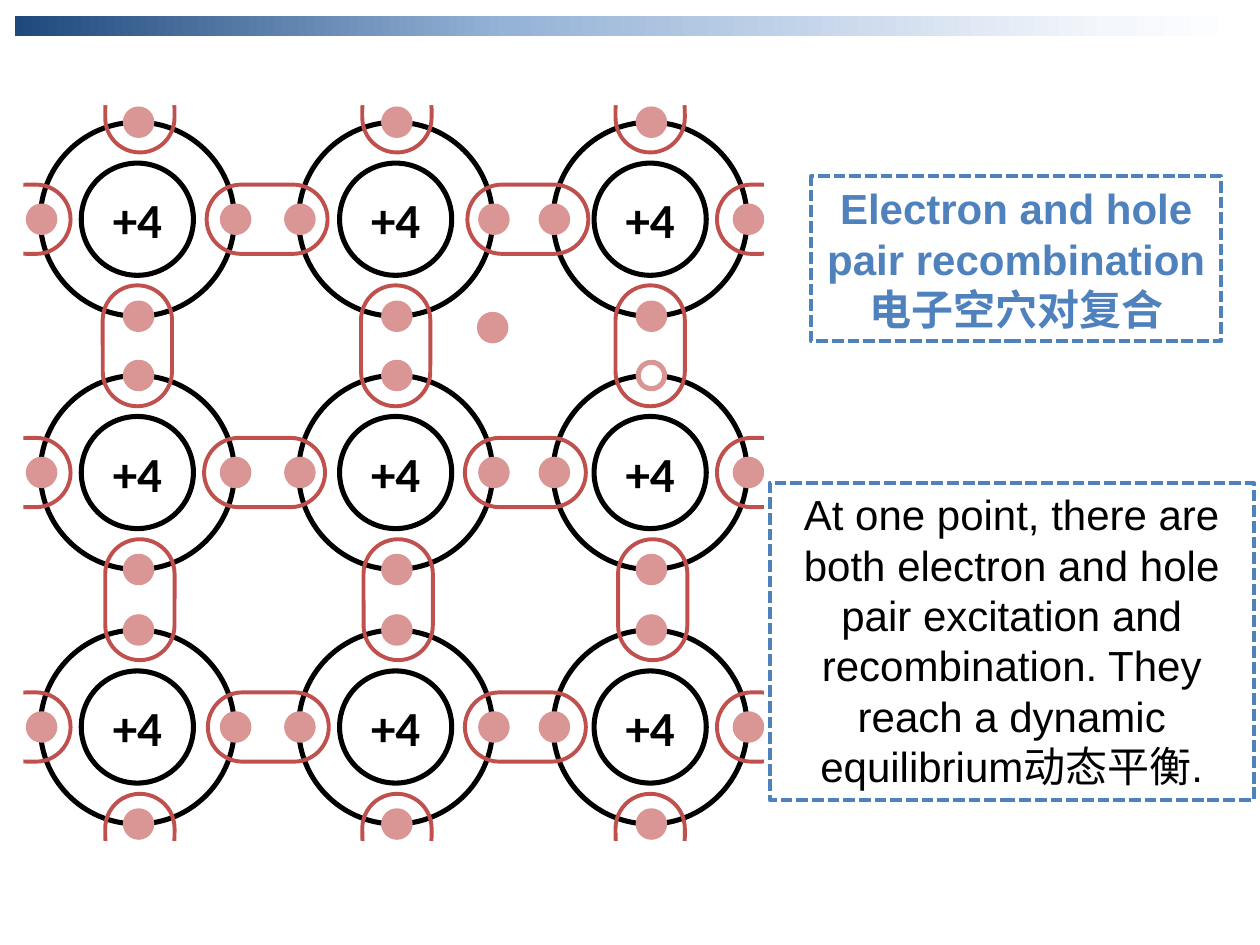
from dataclasses import dataclass

from lxml import etree
from pptx import Presentation
from pptx.dml.color import RGBColor
from pptx.enum.dml import MSO_LINE
from pptx.enum.shapes import MSO_SHAPE
from pptx.enum.text import MSO_ANCHOR, MSO_AUTO_SIZE, PP_ALIGN
from pptx.oxml.ns import qn
from pptx.util import Inches, Pt

OVAL, CAPSULE, RECTANGLE = MSO_SHAPE.OVAL, MSO_SHAPE.ROUNDED_RECTANGLE, MSO_SHAPE.RECTANGLE
CENTER, MIDDLE = PP_ALIGN.CENTER, MSO_ANCHOR.MIDDLE
SHORT_DASH = MSO_LINE.SQUARE_DOT

BLACK = RGBColor(0x00, 0x00, 0x00)
WHITE = RGBColor(0xFF, 0xFF, 0xFF)
PINK = RGBColor(0xD9, 0x96, 0x94)
RED = RGBColor(0xC0, 0x50, 0x4D)
BLUE = RGBColor(0x4F, 0x81, 0xBD)
BAR_STOPS = [(0, "1F497D"), (40, "95B3D7"), (89, "F4F7FC"), (100, "FFFFFF")]

# Lattice geometry, in inches
COLUMNS = [1.09, 3.14, 5.16]
EDGE_COLUMNS = [1.11, 3.15, 5.16]
ROWS = [1.74, 3.75, 5.77]
RING, CORE, ELECTRON = 1.54, 0.89, 0.21
ORBIT = RING / 2
BOND_LENGTH, BOND_WIDTH = 0.96, 0.55
BOND_CENTERS = [(2.12, 4.19), (2.1, 4.17), (2.13, 4.17)]
EDGE_LENGTH, EDGE_REACH = 0.62, 0.84
COVER_LENGTH, COVER_WIDTH, COVER_REACH = 0.55, 0.64, 1.18
HOLE_SITE = (2, 1)
FREE_ELECTRON = (3.91, 2.6)


@dataclass
class Note:
    left: float
    top: float
    width: float
    height: float
    lines: list[str]
    color: RGBColor
    bold: bool


NOTES = [
    Note(6.44, 1.4, 3.25, 1.31,
         ["Electron and hole pair recombination", "电子空穴对复合"], BLUE, True),
    Note(6.11, 3.83, 3.84, 2.52,
         ["At one point, there are both electron and hole pair excitation and "
          "recombination. They reach a dynamic equilibrium动态平衡."], BLACK, False),
]


def add_centered(shapes, kind, x: float, y: float, width: float, height: float):
    shape = shapes.add_shape(kind, Inches(x - width / 2), Inches(y - height / 2),
                             Inches(width), Inches(height))
    shape.shadow.inherit = False
    return shape


def add_circle(shapes, x: float, y: float, size: float, color: RGBColor, fill=None):
    circle = add_centered(shapes, OVAL, x, y, size, size)
    circle.line.color.rgb = color
    circle.line.width = Pt(2.88)
    if fill is None:
        circle.fill.background()
    else:
        circle.fill.solid()
        circle.fill.fore_color.rgb = fill
    return circle


def add_atom(shapes, x: float, y: float, has_hole: bool) -> None:
    add_circle(shapes, x, y, RING, BLACK)
    core = add_circle(shapes, x, y, CORE, BLACK)
    frame = core.text_frame
    frame.word_wrap = False
    frame.vertical_anchor = MIDDLE
    para = frame.paragraphs[0]
    para.text = "+4"
    para.alignment = CENTER
    para.font.name, para.font.size, para.font.bold = "Calibri", Pt(28), True
    para.font.color.rgb = BLACK
    for dx, dy in [(0, -1), (-1, 0), (0, 1), (1, 0)]:
        fill = WHITE if has_hole and dy == -1 else PINK
        add_circle(shapes, x + 0.01 + dx * ORBIT, y + dy * ORBIT, ELECTRON, PINK, fill)


def add_bond(shapes, x: float, y: float, length: float, angle: int = 0) -> None:
    bond = add_centered(shapes, CAPSULE, x, y, length, BOND_WIDTH)
    bond.rotation = angle
    bond.adjustments[0] = 0.5
    bond.fill.background()
    bond.line.color.rgb = RED
    bond.line.width = Pt(2.25)


def add_edge_bond(shapes, x: float, y: float, dx: int, dy: int) -> None:
    """Draw a bond leaving the lattice towards (dx, dy), cut off by a white cover."""
    angle = -90 * dy % 360 if dx == 0 else 0
    angle = (360 - angle) % 360
    add_bond(shapes, x + dx * EDGE_REACH, y + dy * EDGE_REACH, EDGE_LENGTH, angle)
    cover = add_centered(shapes, RECTANGLE, x + dx * COVER_REACH, y + dy * COVER_REACH,
                         COVER_LENGTH, COVER_WIDTH)
    cover.rotation = angle
    cover.fill.solid()
    cover.fill.fore_color.rgb = WHITE
    cover.line.fill.background()


def add_top_bar(shapes) -> None:
    bar = add_centered(shapes, RECTANGLE, 5, 0.21, 9.76, 0.16)
    bar.line.fill.background()
    bar.fill.gradient()
    bar.fill.gradient_angle = 0
    stops = next(bar._element.iter(qn("a:gsLst")))
    for stop in list(stops):
        stops.remove(stop)
    for percent, color in BAR_STOPS:
        stop = etree.SubElement(stops, qn("a:gs"), pos=str(percent * 1000))
        etree.SubElement(stop, qn("a:srgbClr"), val=color)


def add_note(shapes, note: Note) -> None:
    box = shapes.add_textbox(Inches(note.left), Inches(note.top),
                             Inches(note.width), Inches(note.height))
    box.line.color.rgb = BLUE
    box.line.width = Pt(2.25)
    box.line.dash_style = SHORT_DASH
    frame = box.text_frame
    frame.word_wrap = True
    frame.auto_size = MSO_AUTO_SIZE.SHAPE_TO_FIT_TEXT
    for index, line in enumerate(note.lines):
        para = frame.add_paragraph() if index else frame.paragraphs[0]
        para.text = line
        para.alignment = CENTER
        para.font.name, para.font.size, para.font.bold = "Arial", Pt(24), note.bold
        para.font.color.rgb = note.color


def main() -> None:
    deck = Presentation()
    deck.slide_width, deck.slide_height = Inches(10), Inches(7.5)
    page = deck.slides.add_slide(deck.slide_layouts[6])
    shapes = page.shapes

    # Atoms and the free electron
    for row, y in enumerate(ROWS):
        for column, x in enumerate(COLUMNS):
            atom = shapes.add_group_shape().shapes
            add_atom(atom, x, y, (column, row) == HOLE_SITE)
    add_circle(shapes, *FREE_ELECTRON, ELECTRON, PINK, PINK)

    # Bonds between neighbours
    bonds = shapes.add_group_shape().shapes
    for y, centers in zip(ROWS, BOND_CENTERS):
        for x in centers:
            add_bond(bonds, x, y, BOND_LENGTH)
    for row, (upper, lower) in enumerate(zip(ROWS, ROWS[1:])):
        for x in COLUMNS:
            add_bond(bonds, x + 0.02 * row, (upper + lower) / 2, BOND_LENGTH, 90)

    # Bonds cut off at the lattice edge
    for y in ROWS:
        add_edge_bond(bonds, COLUMNS[0], y, -1, 0)
        add_edge_bond(bonds, COLUMNS[-1], y, 1, 0)
    for x in EDGE_COLUMNS:
        add_edge_bond(bonds, x, ROWS[0], 0, -1)
        add_edge_bond(bonds, x, ROWS[-1], 0, 1)

    # Top bar and notes
    add_top_bar(shapes)
    for note in NOTES:
        add_note(shapes, note)

    deck.save("out.pptx")


if __name__ == "__main__":
    main()
